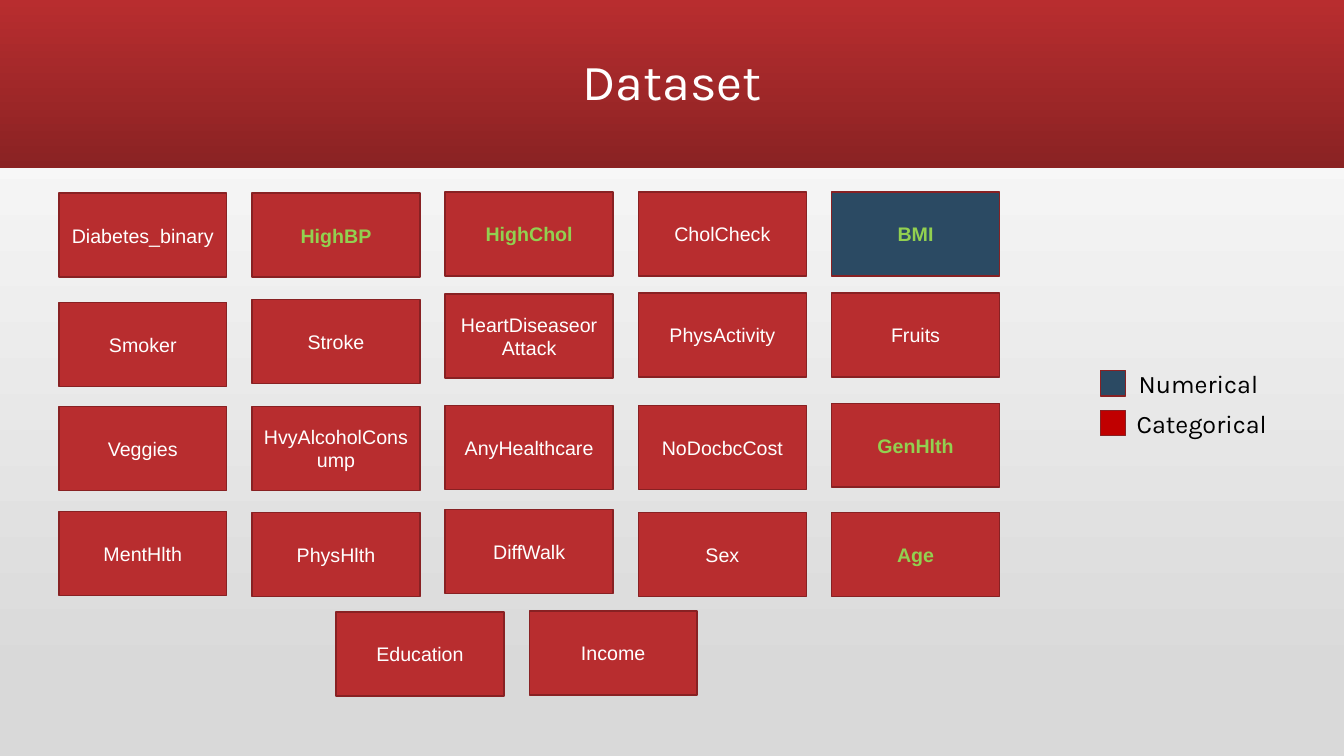
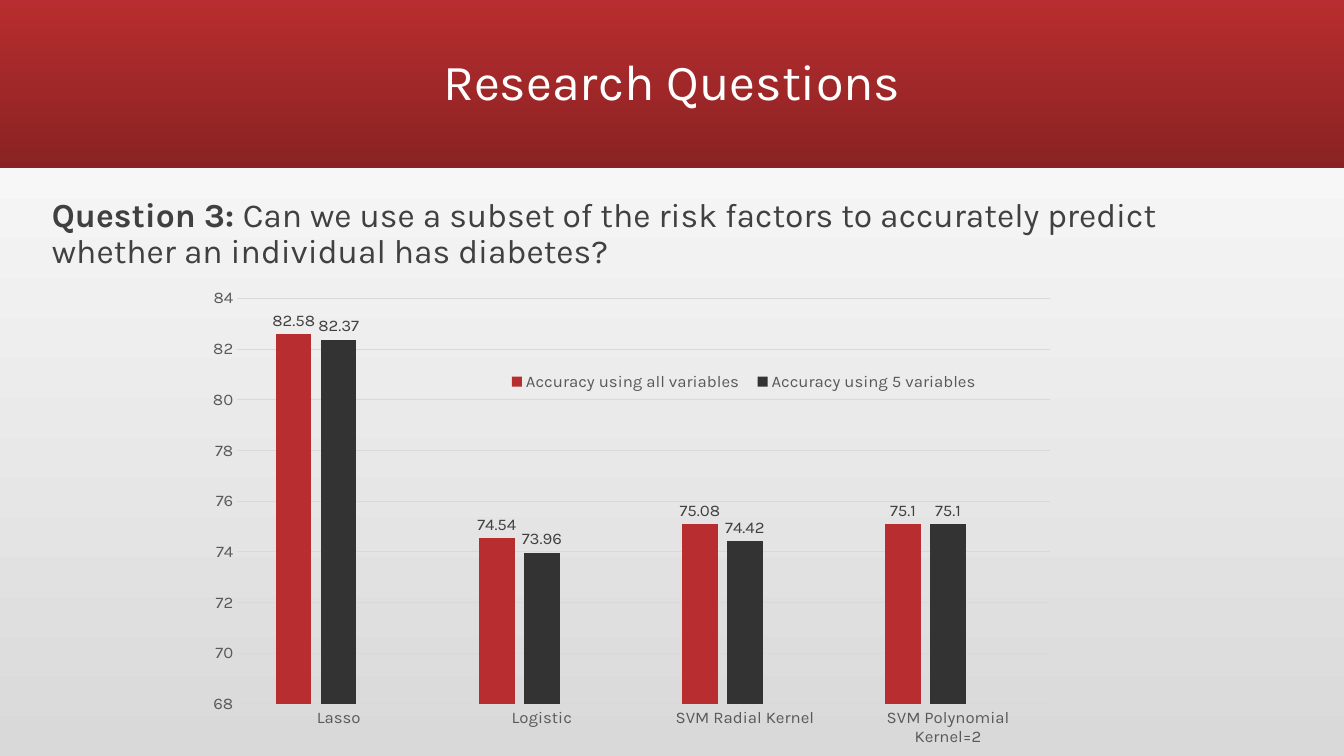
from lxml.etree import SubElement
from pptx import Presentation
from pptx.chart.data import CategoryChartData
from pptx.dml.color import RGBColor
from pptx.enum.chart import XL_CHART_TYPE, XL_LABEL_POSITION, XL_LEGEND_POSITION, XL_TICK_MARK
from pptx.enum.shapes import MSO_SHAPE
from pptx.enum.text import MSO_ANCHOR, PP_ALIGN
from pptx.oxml.ns import qn
from pptx.util import Emu, Pt

PX = 9525  # EMU per px, 96 px to the inch
RED, DARK_RED, EDGE, PURE_RED = "B82D2F", "8A2223", "882123", "C00000"
NAVY, CHARCOAL, GREEN = "2B4A63", "333333", "92D050"
WHITE, BLACK, GRID, AXIS, BODY = "FFFFFF", "000000", "D9D9D9", "595959", "404040"
HEAD_FONT, BOX_FONT = "Karla", "Arial"


def rgb(color):
    return RGBColor.from_string(color)


def px(*lengths):
    return [Emu(n * PX) for n in lengths]


def gradient(fill, angle, *stops):
    """Fill with (position, colour) stops; the angle runs counter-clockwise."""
    fill.gradient()
    fill.gradient_angle = angle
    for stop, (position, color) in zip(fill.gradient_stops, stops):
        stop.position, stop.color.rgb = position, rgb(color)


def style(font, size, color, name=HEAD_FONT, bold=False):
    font.size, font.name, font.bold = Pt(size), name, bold
    font.color.rgb = rgb(color)


def place_by_hand(parent, index, inner=False, **fractions):
    """Give a chart part a manual layout, as fractions of the chart."""
    for old in parent.findall(qn("c:layout")):
        parent.remove(old)
    layout = SubElement(parent, qn("c:layout"))
    parent.insert(index, layout)
    manual = SubElement(layout, qn("c:manualLayout"))
    if inner:
        SubElement(manual, qn("c:layoutTarget"), val="inner")
    for mode in ("xMode", "yMode"):
        SubElement(manual, qn("c:" + mode), val="edge")
    for key, value in fractions.items():
        SubElement(manual, qn("c:" + key), val=str(value))


def hide_legend_entry(legend, index):
    entry = SubElement(legend, qn("c:legendEntry"))
    legend.insert(1, entry)
    SubElement(entry, qn("c:idx"), val=str(index))
    SubElement(entry, qn("c:delete"), val="1")


class Deck:
    """Holds the shared style and the slide being built."""

    def __init__(self):
        self.prs = Presentation()
        self.prs.slide_width, self.prs.slide_height = px(1280, 720)
        self.s = None

    def slide(self, title, grey_until=0):
        self.s = self.prs.slides.add_slide(self.prs.slide_layouts[5])
        gradient(self.s.background.fill, 90, (grey_until, GRID), (1, WHITE))
        band = self.box(0, 0, 1280, 160, RED)
        gradient(band.fill, 270, (0, RED), (1, DARK_RED))
        band.line.fill.background()
        self.s.shapes._spTree.insert(2, band._element)
        sp = self.s.shapes.title
        sp.left, sp.top, sp.width, sp.height = px(112, 11, 1056, 139)
        sp.text_frame.vertical_anchor = MSO_ANCHOR.MIDDLE
        p = self.add_runs(sp.text_frame, [(title, False)], 36, WHITE)
        p.alignment, p.line_spacing = PP_ALIGN.CENTER, 0.9

    def add_runs(self, tf, runs, size, color, font=HEAD_FONT):
        """Add (text, bold) runs to the first paragraph and return it."""
        tf.word_wrap = True
        p = tf.paragraphs[0]
        for text, bold in runs:
            r = p.add_run()
            r.text = text
            style(r.font, size, color, font, bold)
        return p

    def box(self, x, y, w, h, fill):
        sp = self.s.shapes.add_shape(MSO_SHAPE.RECTANGLE, *px(x, y, w, h))
        sp.shadow.inherit = False
        sp.fill.solid()
        sp.fill.fore_color.rgb = rgb(fill)
        sp.line.color.rgb, sp.line.width = rgb(EDGE), Pt(1)
        return sp

    def variable(self, name, x, y, fill, selected):
        tf = self.box(x, y, 160, 80, fill).text_frame
        tf.vertical_anchor = MSO_ANCHOR.MIDDLE
        p = self.add_runs(tf, [(name, selected)], 14, GREEN if selected else WHITE, BOX_FONT)
        p.alignment = PP_ALIGN.CENTER

    def text(self, x, y, w, h, runs, size, color):
        tf = self.s.shapes.add_textbox(*px(x, y, w, h)).text_frame
        return self.add_runs(tf, runs, size, color)

    def column_chart(self, x, y, w, h, categories, series):
        """Add clustered columns from (name, values, colour) series."""
        data = CategoryChartData()
        data.categories = categories
        for name, values, _ in series:
            data.add_series(name, values)
        chart = self.s.shapes.add_chart(
            XL_CHART_TYPE.COLUMN_CLUSTERED, *px(x, y, w, h), data).chart
        chart.has_title = False
        style(chart.font, 10, BLACK)

        plot = chart.plots[0]
        plot.gap_width, plot.overlap, plot.vary_by_categories = 219, -27, False
        for ser, (_, _, color) in zip(plot.series, series):
            ser.format.fill.solid()
            ser.format.fill.fore_color.rgb = rgb(color)
        plot.has_data_labels = True
        labels = plot.data_labels
        labels.show_value, labels.position = True, XL_LABEL_POSITION.OUTSIDE_END
        style(labels.font, 12, BODY)

        for axis in (chart.category_axis, chart.value_axis):
            axis.major_tick_mark = axis.minor_tick_mark = XL_TICK_MARK.NONE
            style(axis.tick_labels.font, 12, AXIS)
        axis = chart.value_axis
        axis.minimum_scale, axis.maximum_scale, axis.major_unit = 68, 84, 2
        axis.format.line.fill.background()
        for line in (chart.category_axis.format.line, axis.major_gridlines.format.line):
            line.color.rgb, line.width = rgb(GRID), Pt(0.75)

        chart.has_legend = True
        chart.legend.position = XL_LEGEND_POSITION.BOTTOM
        chart.legend.include_in_layout = False
        style(chart.legend.font, 12, AXIS)
        return chart


def dataset_slide(deck):
    rows = [  # left edge, then each variable with its top
        (56, {"Diabetes_binary": 184, "HighBP": 184, "HighChol": 183,
              "CholCheck": 183, "BMI": 183}),
        (56, {"Smoker": 288, "Stroke": 285, "HeartDiseaseorAttack": 280,
              "PhysActivity": 279, "Fruits": 279}),
        (56, {"Veggies": 387, "HvyAlcoholConsump": 387, "AnyHealthcare": 386,
              "NoDocbcCost": 386, "GenHlth": 384}),
        (56, {"MentHlth": 487, "PhysHlth": 488, "DiffWalk": 485,
              "Sex": 488, "Age": 488}),
        (320, {"Education": 583, "Income": 582}),
    ]
    selected = {"HighBP", "HighChol", "BMI", "GenHlth", "Age"}
    deck.slide("Dataset", grey_until=0.1)
    for left, row in rows:
        for col, (name, top) in enumerate(row.items()):
            fill = NAVY if name == "BMI" else RED
            deck.variable(name, left + 184 * col, top, fill, name in selected)
    for label, x, y, color in (("Numerical", 1075, 353, NAVY),
                               ("Categorical", 1073, 391, PURE_RED)):
        deck.box(1048, y, 24, 24, color)
        deck.text(x, y - 7, 160, 38, [(label, False)], 18, BLACK)


def question_slide(deck):
    deck.slide("Research Questions")
    p = deck.text(40, 184, 1168, 504, [
        ("Question 3: ", True),
        ("Can we use a subset of the risk factors to accurately predict "
         "whether an individual has diabetes?", False)], 24, BODY)
    p.line_spacing = 0.9
    chart = deck.column_chart(
        176, 200, 832, 511,
        ["Lasso", "Logistic", "SVM Radial Kernel", "SVM Polynomial Kernel=2"],
        [("Accuracy using all variables", (82.58, 74.54, 75.08, 75.1), RED),
         ("Accuracy using 5 variables", (82.37, 73.96, 74.42, 75.1), CHARCOAL),
         ("Series 3", (None,) * 4, NAVY)])
    place_by_hand(chart._chartSpace.chart.plotArea, 0, inner=True,
                  x=0.06, y=0.17, w=0.93, h=0.78)
    legend = chart.legend._element
    place_by_hand(legend, 1, x=0.36, y=0.3, w=0.56, h=0.06)
    hide_legend_entry(legend, 2)


def main():
    deck = Deck()
    dataset_slide(deck)
    question_slide(deck)
    deck.prs.save("out.pptx")


if __name__ == "__main__":
    main()
